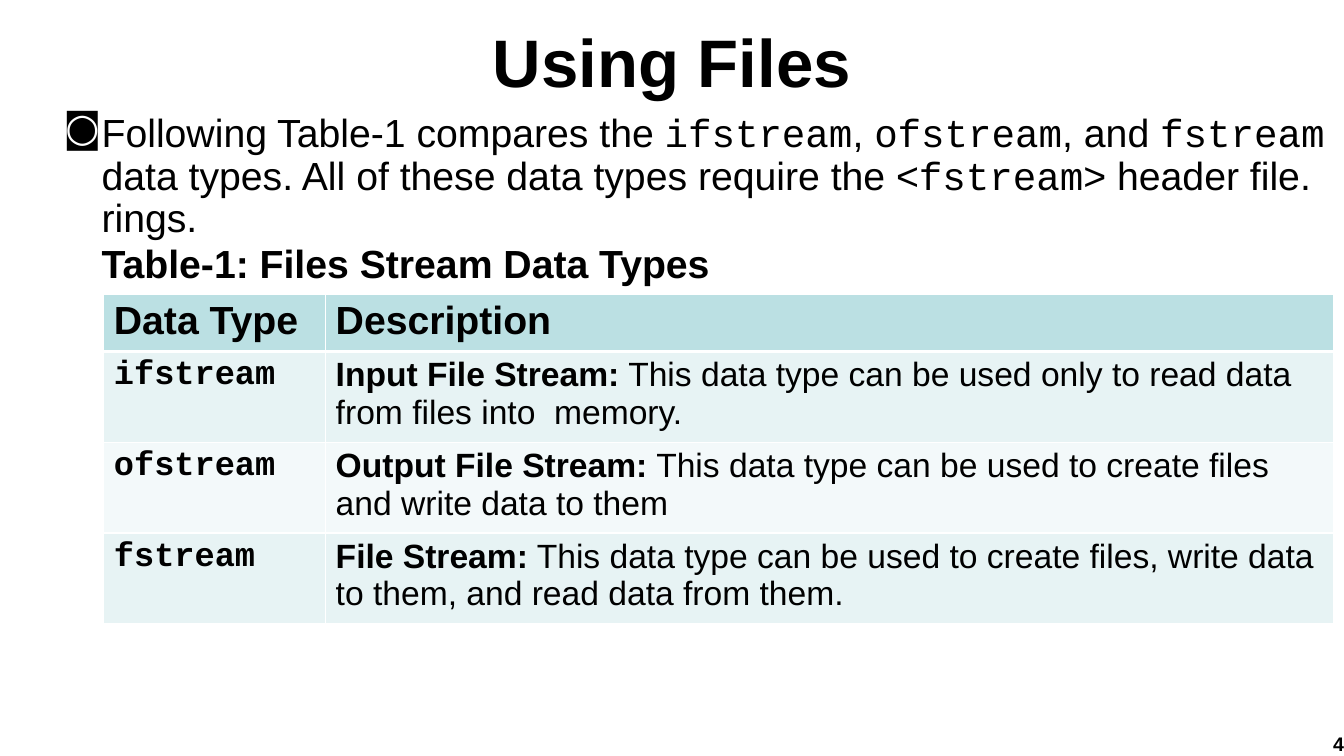
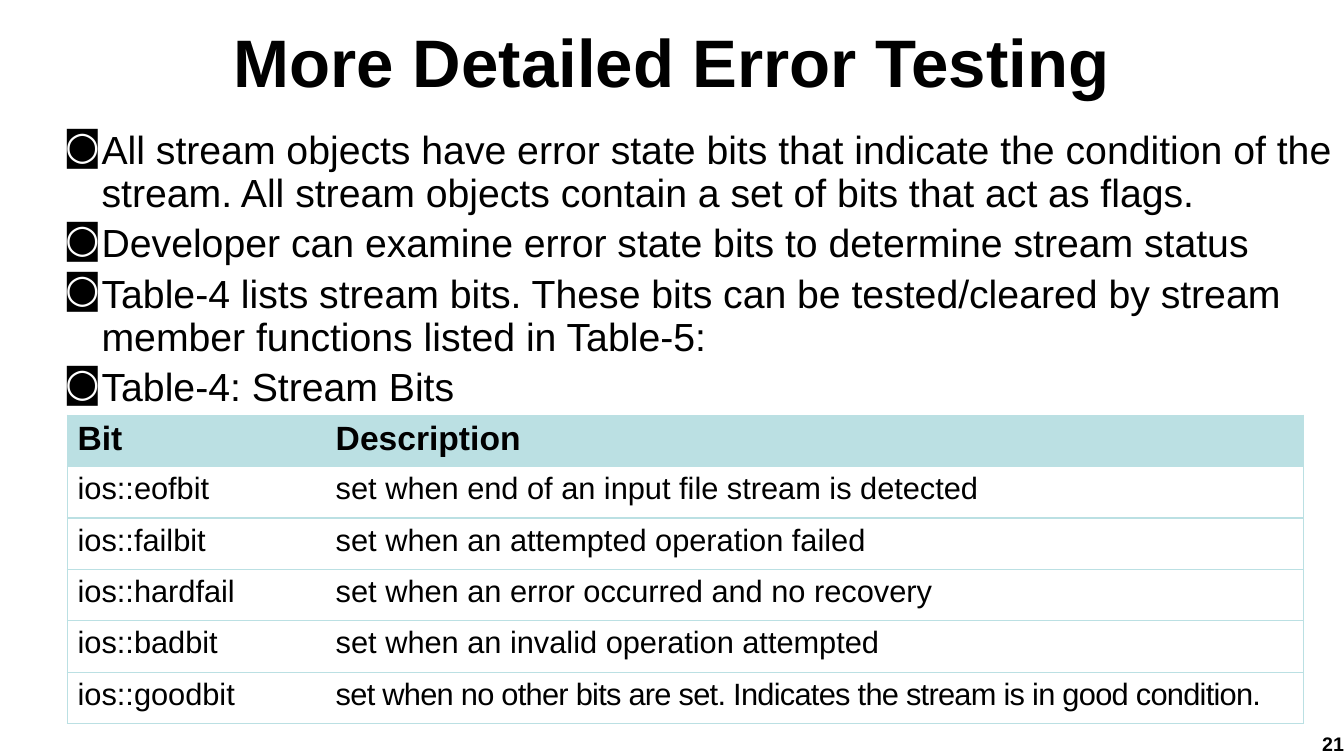
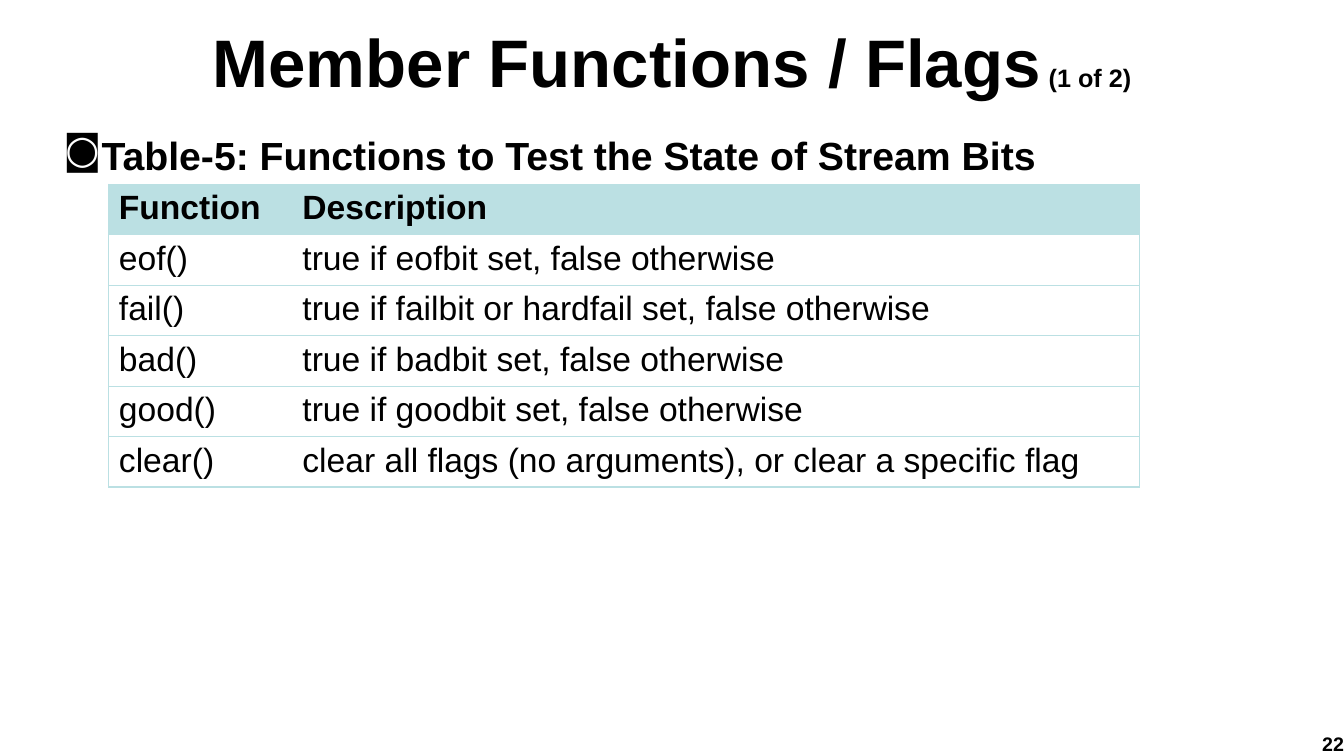
from lxml import etree
from pptx import Presentation
from pptx import util as u
from pptx.dml import color
from pptx.enum import text
from pptx.oxml import ns

BLACK, WHITE = "000000", "FFFFFF"
TEAL, TEAL_LIGHT, TEAL_PALE = "BBE0E3", "E7F3F4", "F3F9FA"
BODY_FONT, CODE_FONT = "Arial", "Courier New"
HANGING = 0.38
CODE = {"font": CODE_FONT}
BOLD = {"bold": True}

# Content: a paragraph is a list of runs, a run is a string or (string, format)
SLIDES = [
    {
        "title": ["Using Files"],
        "number": 4,
        "body_top": 1.08,
        "body_format": {"spacing": 0.9, "before": 3},
        "bullets": [[
            "Following Table-1 compares the ", ("ifstream", CODE), ", ",
            ("ofstream", CODE), ", and ", ("fstream", CODE),
            " data types. All of these data types require the ", "<",
            ("fstream", CODE), "> header file. rings.",
        ]],
        "caption": [("Table-1: Files Stream Data Types", BOLD)],
        "table": {
            "at": (1.03, 2.92), "columns": (2.2, 10), "row_height": 0.41,
            "header_size": 28, "size": 24, "banded": True,
            "rows": [
                (["Data Type"], ["Description"]),
                ([("ifstream", CODE | BOLD)],
                 [("Input File Stream:", BOLD),
                  " This data type can be used only to read data from files into  memory."]),
                ([("ofstream", CODE | BOLD)],
                 [("Output File Stream:", BOLD),
                  " This data type can be used to create files and write data to them"]),
                ([("fstream", CODE | BOLD)],
                 [("File Stream:", BOLD),
                  " This data type can be used to create files, write data to them, "
                  "and read data from them."]),
            ],
        },
    },
    {
        "title": ["More Detailed Error Testing"],
        "number": 21,
        "body_top": 1.25,
        "body_format": {"spacing": 0.9, "before": 6},
        "bullets": [
            ["All stream objects have error state bits that indicate the condition of the "
             "stream. All stream objects contain a set of bits that act as flags."],
            ["Developer can examine error state bits to determine stream status"],
            ["Table-4 lists stream bits. These bits can be tested/cleared by stream "
             "member functions listed in Table-5:"],
            ["Table-4: Stream Bits"],
        ],
        "table": {
            "at": (0.67, 4.12), "columns": (2.56, 9.7), "row_height": 0.51,
            "header_size": 24, "size": 22, "banded": False,
            "rows": [
                (["Bit"], ["Description"]),
                (["ios::eofbit"], ["set when end of an input file stream is detected"]),
                (["ios::failbit"], ["set when an attempted operation failed"]),
                (["ios::hardfail"], ["set when an error occurred and no recovery"]),
                (["ios::badbit"], ["set when an invalid operation attempted"]),
                (["ios::goodbit"],
                 [("set when no other bits are set. Indicates the stream is in good condition.",
                   {"tracking": -0.5})]),
            ],
        },
    },
    {
        "title": ["Member Functions / Flags", (" (1 of 2)", {"size": 18})],
        "number": 22,
        "body_top": 1.25,
        "body_format": {"before": 6},
        "bullets": [[("Table-5: Functions to Test the State of Stream Bits", BOLD)]],
        "table": {
            "at": (1.08, 1.83), "columns": (1.82, 8.4), "row_height": 0.47,
            "header_size": 24, "size": 24, "banded": False,
            "rows": [
                (["Function"], ["Description"]),
                (["eof()"], ["true if eofbit set, false otherwise"]),
                (["fail()"], ["true if failbit or hardfail set, false otherwise"]),
                (["bad()"], ["true if badbit set, false otherwise"]),
                (["good()"], ["true if goodbit set, false otherwise"]),
                (["clear()"], ["clear all flags (no arguments), or clear a specific flag"]),
            ],
        },
    },
]


def rgb(value):
    return color.RGBColor.from_string(value)


def add_child(parent, tag, **attributes):
    return etree.SubElement(parent, ns.qn(tag), attributes)


# Text
def add_run(paragraph, content, size=28, font=BODY_FONT, bold=False, tracking=0):
    run = paragraph.add_run()
    run.text = content
    run.font.size = u.Pt(size)
    run.font.name = font
    run.font.bold = bold
    run.font.color.rgb = rgb(BLACK)
    if tracking:
        run._r.get_or_add_rPr().set("spc", str(round(tracking * 100)))


def write_paragraph(paragraph, runs, align=text.PP_ALIGN.LEFT, spacing=None, before=0,
                    indent=0, bullet=None, **run_format):
    paragraph.alignment = align
    paragraph.space_before = u.Pt(before)
    if spacing:
        paragraph.line_spacing = spacing
    properties = paragraph._p.get_or_add_pPr()
    properties.set("marL", str(u.Inches(indent)))
    properties.set("indent", str(u.Inches(-indent if bullet else 0)))
    if bullet:
        fill = add_child(properties, "a:buClr")
        add_child(fill, "a:srgbClr", val=BLACK)
        add_child(properties, "a:buChar", char=bullet)
    for run in runs:
        content, extra = (run, {}) if isinstance(run, str) else run
        add_run(paragraph, content, **(run_format | extra))


def add_text_frame(slide, left, top, width, height, anchor, margins=(0.1, 0.05)):
    box = slide.shapes.add_textbox(*map(u.Inches, (left, top, width, height)))
    frame = box.text_frame
    frame.word_wrap = True
    frame.vertical_anchor = anchor
    frame.margin_left = frame.margin_right = u.Inches(margins[0])
    frame.margin_top = frame.margin_bottom = u.Inches(margins[1])
    return frame


def add_body(slide, content):
    top = content["body_top"]
    frame = add_text_frame(slide, 0.53, top, 12.8, 7.25 - top, text.MSO_ANCHOR.TOP)
    paragraphs = [(runs, "◙") for runs in content["bullets"]]
    if "caption" in content:
        paragraphs.append((content["caption"], None))
    for index, (runs, bullet) in enumerate(paragraphs):
        paragraph = frame.add_paragraph() if index else frame.paragraphs[0]
        write_paragraph(paragraph, runs, indent=HANGING, bullet=bullet,
                        **content["body_format"])


# Table
def set_borders(cell, borders):
    """Borders map a side (L, R, T, B) to (colour, points); other sides have no line."""
    properties = cell._tc.get_or_add_tcPr()
    for side in "LRTB":
        hue, width = borders.get(side, (None, 0))
        line = add_child(properties, "a:ln" + side, w=str(u.Pt(width)))
        if hue:
            add_child(add_child(line, "a:solidFill"), "a:srgbClr", val=hue)
        else:
            add_child(line, "a:noFill")


def cell_style(row, column, banded):
    """Return the fill and the borders of one cell."""
    if banded:
        borders = dict.fromkeys("LRTB", (WHITE, 1))
        if row < 2:
            borders["T" if row else "B"] = (WHITE, 3)
        body_fill = TEAL_LIGHT if row % 2 else TEAL_PALE
    else:
        borders = dict.fromkeys("RTB" if column else "LTB", (TEAL, 1))
        body_fill = WHITE
    return (body_fill if row else TEAL), borders


def add_data_table(slide, at, columns, row_height, header_size, size, banded, rows):
    shape = slide.shapes.add_table(
        len(rows), len(columns), *map(u.Inches, at),
        u.Inches(sum(columns)), u.Inches(row_height * len(rows)))
    table = shape.table
    table.first_row = table.horz_banding = False
    for column, width in zip(table.columns, columns):
        column.width = u.Inches(width)
    for row, cells in enumerate(rows):
        table.rows[row].height = u.Inches(row_height)
        for column, runs in enumerate(cells):
            cell = table.cell(row, column)
            fill, borders = cell_style(row, column, banded)
            set_borders(cell, borders)
            cell.fill.solid()
            cell.fill.fore_color.rgb = rgb(fill)
            write_paragraph(cell.text_frame.paragraphs[0], runs, bold=row == 0,
                            size=size if row else header_size)


def add_slide(presentation, content):
    slide = presentation.slides.add_slide(presentation.slide_layouts[6])
    middle = text.MSO_ANCHOR.MIDDLE
    title = add_text_frame(slide, 0, 0, 13.33, 1.2, middle)
    write_paragraph(title.paragraphs[0], content["title"], size=48, bold=True,
                    align=text.PP_ALIGN.CENTER)
    add_body(slide, content)
    number = add_text_frame(slide, 12.73, 7.25, 0.6, 0.25, middle, margins=(0, 0))
    write_paragraph(number.paragraphs[0], [str(content["number"])], size=14, bold=True,
                    align=text.PP_ALIGN.RIGHT)
    add_data_table(slide, **content["table"])


def main():
    presentation = Presentation()
    presentation.slide_width = u.Inches(13.33)
    presentation.slide_height = u.Inches(7.5)
    for content in SLIDES:
        add_slide(presentation, content)
    presentation.save("out.pptx")


if __name__ == "__main__":
    main()
